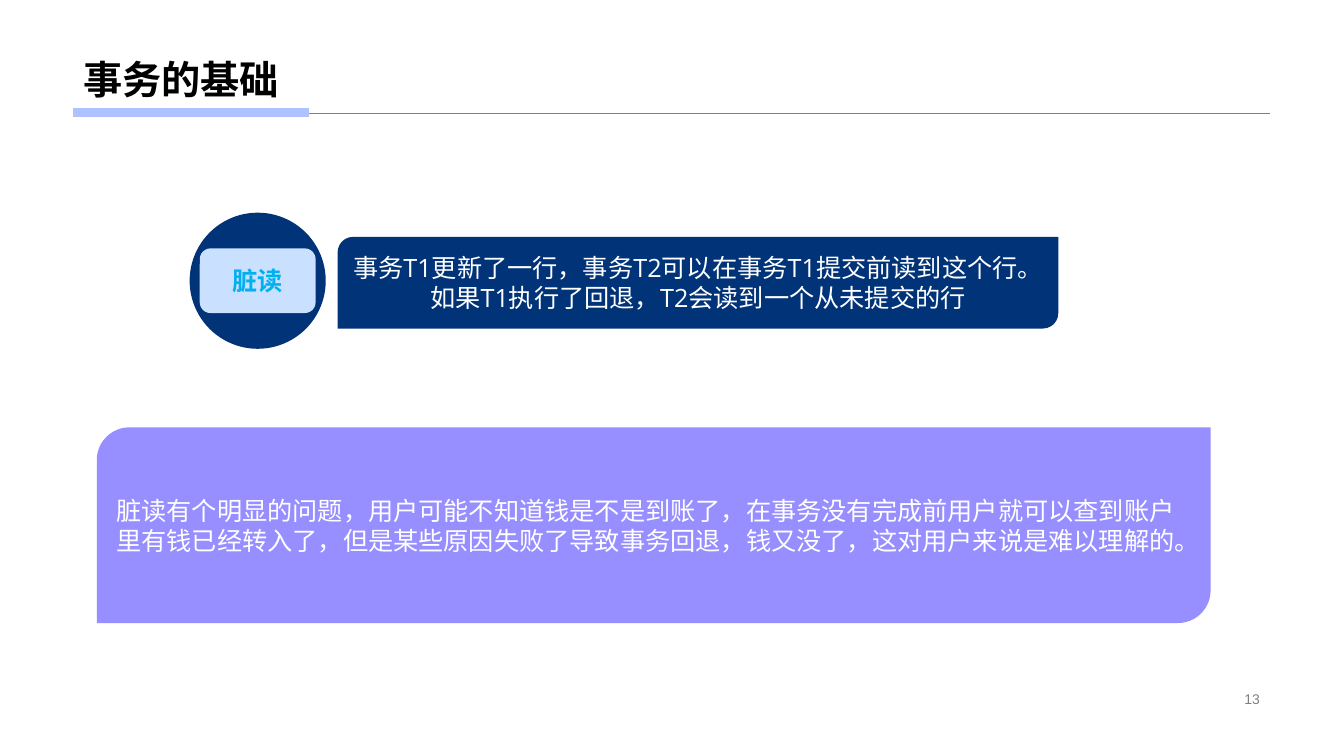
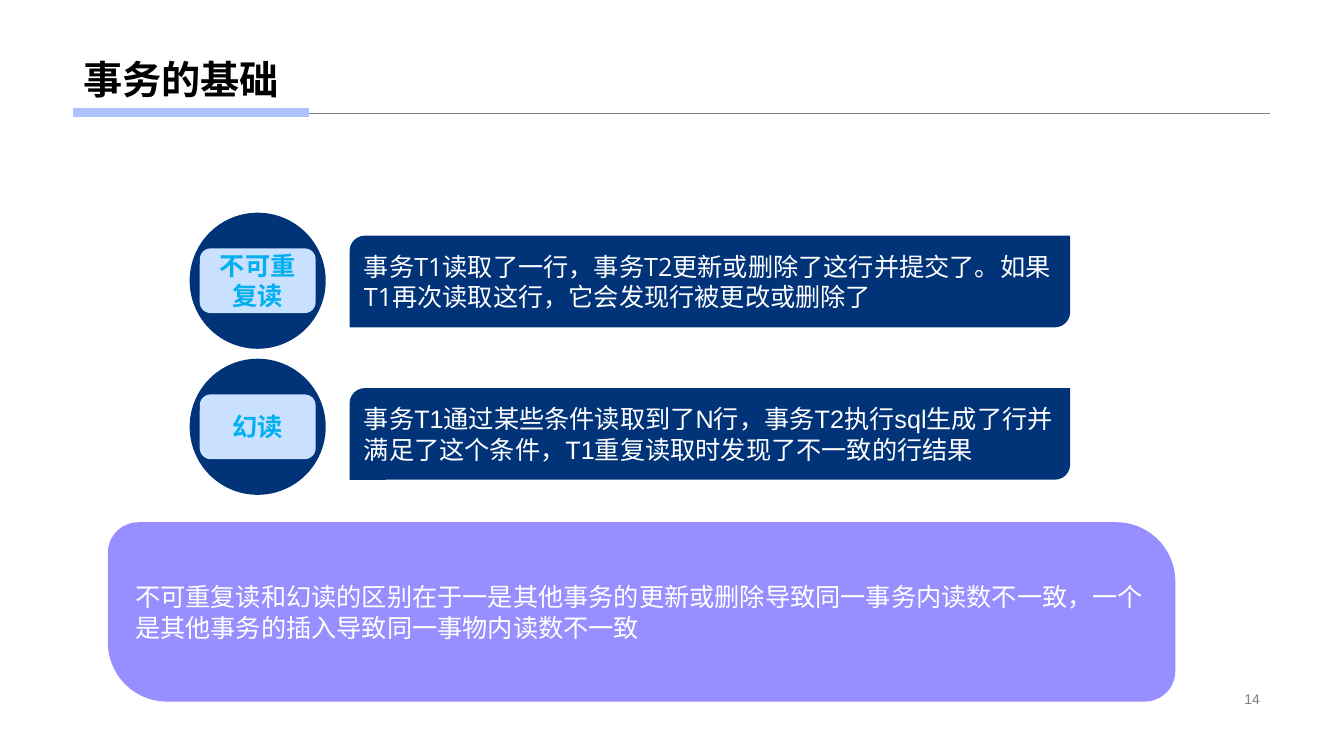
from pptx import Presentation
from pptx.dml.color import RGBColor
from pptx.enum.shapes import MSO_CONNECTOR as Conn, MSO_SHAPE as Shp
from pptx.enum.text import MSO_ANCHOR as Anc, PP_ALIGN as Al
from pptx.oxml.ns import qn
from pptx.util import Cm, Pt
from lxml.etree import SubElement

HUES = {
    "ink": "000000", "white": "FFFFFF", "grey": "808080", "band": "ADC2FF",
    "navy": "003378", "pale": "C9E0FF", "cyan": "00B0F0", "violet": "978FFF",
}
LEFT, WIDE = 1.85, 30.15
DISC_X, DISC = 4.78, 3.43
TAG_W, TAG_H = 2.92, 1.63
BAR_W, BAR_H = 18.16, 2.31


def hue(name):
    return RGBColor.from_string(HUES[name])


class Deck:
    """Shared style plus the slide being built."""

    def __init__(self):
        self.prs = Presentation()
        self.prs.slide_width, self.prs.slide_height = Cm(33.87), Cm(19.05)
        self.slide = None

    def page(self, title, num):
        self.slide = self.prs.slides.add_slide(self.prs.slide_layouts[6])
        self.rule(LEFT, 2.84, LEFT + WIDE)
        band = self.shape(Shp.RECTANGLE, (LEFT, 2.74, 5.92, 0.2), "band")
        band.line.color.rgb = hue("band")
        band.line.width = Pt(1)
        head = self.box((LEFT, 1.09, WIDE, 1.63), title, "ink", 28,
                        bold=True, anchor=Anc.BOTTOM)
        head.line_spacing = 0.9
        self.box((23.92, 17.32, 8.08, 0.58), num, "grey", 10, align=Al.RIGHT)

    def rule(self, x, y, end):
        line = self.slide.shapes.add_connector(
            Conn.STRAIGHT, Cm(x), Cm(y), Cm(end), Cm(y))
        line.line.color.rgb = hue("grey")
        line.line.width = Pt(0.25)
        SubElement(line._element.spPr, qn("a:effectLst"))

    def shape(self, kind, area, fill):
        shape = self.slide.shapes.add_shape(kind, *map(Cm, area))
        shape.shadow.inherit = False
        shape.fill.solid()
        shape.fill.fore_color.rgb = hue(fill)
        shape.line.fill.background()
        return shape

    def box(self, area, text, color, size, **style):
        box = self.slide.shapes.add_textbox(*map(Cm, area))
        return self.label(box, text, color, size, **style)

    def label(self, shape, text, color="white", size=18, font="Arial",
              bold=False, align=Al.LEFT, anchor=Anc.MIDDLE):
        frame = shape.text_frame
        frame.word_wrap = True
        frame.vertical_anchor = anchor
        para = frame.paragraphs[0]
        para.text = text
        para.alignment = align
        para.font.name, para.font.size = font, Pt(size)
        para.font.bold = bold
        para.font.color.rgb = hue(color)
        return para

    def term(self, top, name, text, x, y, font="Arial", face="Arial",
             align=Al.LEFT):
        """Disc with a centred tag, and the bar at x, y that explains it."""
        self.shape(Shp.OVAL, (DISC_X, top, DISC, DISC), "navy")
        bar = self.shape(Shp.ROUND_2_DIAG_RECTANGLE,
                         (x, y, BAR_W, BAR_H), "navy")
        self.label(bar, text, font=font, align=align)
        area = (DISC_X + (DISC - TAG_W) / 2, top + (DISC - TAG_H) / 2,
                TAG_W, TAG_H)
        tag = self.shape(Shp.ROUNDED_RECTANGLE, area, "pale")
        self.label(tag, name, "cyan", font=face, bold=True, align=Al.CENTER)

    def note(self, area, text, curves=()):
        note = self.shape(Shp.ROUND_2_DIAG_RECTANGLE, area, "violet")
        for i, curve in enumerate(curves):
            note.adjustments[i] = curve
        self.label(note, text)


def main():
    deck = Deck()
    title = "事务的基础"

    deck.page(title, "13")
    deck.term(5.36, "脏读",
              "事务T1更新了一行，事务T2可以在事务T1提交前读到这个行。"
              "如果T1执行了回退，T2会读到一个从未提交的行",
              8.51, 5.97, font="Open Sans", align=Al.CENTER)
    deck.note((2.44, 10.77, 28.07, 4.93),
              "脏读有个明显的问题，用户可能不知道钱是不是到账了，"
              "在事务没有完成前用户就可以查到账户里有钱已经转入了，"
              "但是某些原因失败了导致事务回退，钱又没了，"
              "这对用户来说是难以理解的。")

    deck.page(title, "14")
    deck.term(5.36, "不可重复读",
              "事务T1读取了一行，事务T2更新或删除了这行并提交了。"
              "如果T1再次读取这行，它会发现行被更改或删除了",
              8.81, 5.94, font="Open Sans", face="Open Sans")
    deck.term(9.04, "幻读",
              "事务T1通过某些条件读取到了N行，事务T2执行sql生成了行并满足了这个条件，"
              "T1重复读取时发现了不一致的行结果",
              8.81, 9.78)
    deck.note((2.72, 13.16, 26.9, 4.52),
              "不可重复读和幻读的区别在于一是其他事务的更新或删除导致同一事务内读数不一致，"
              "一个是其他事务的插入导致同一事物内读数不一致",
              (0.17, 0.33))

    deck.prs.save("out.pptx")


if __name__ == "__main__":
    main()
